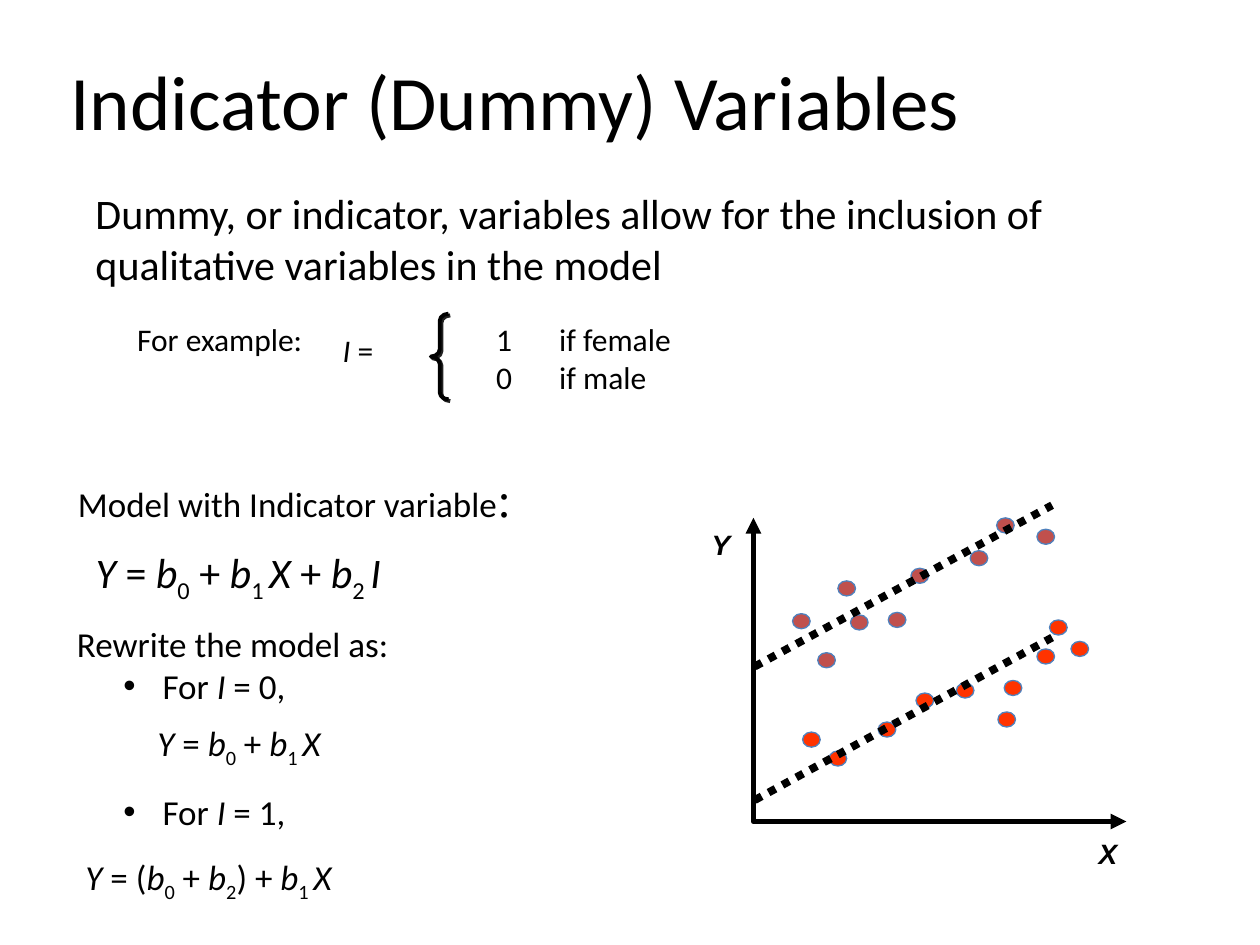
from lxml.etree import SubElement
from pptx import Presentation
from pptx.dml.color import RGBColor
from pptx.enum.dml import MSO_LINE
from pptx.enum.shapes import MSO_CONNECTOR, MSO_SHAPE
from pptx.enum.text import MSO_ANCHOR, MSO_AUTO_SIZE, PP_ALIGN
from pptx.oxml.ns import qn
from pptx.util import Inches, Pt

COLORS = {"ink": "000000", "female": "C0504D", "male": "FF3300",
          "outline": "4F81BD", "shadow": "222222"}
FEMALE_POINTS = [(6.29, 4.87), (6.75, 4.88), (6.65, 4.61), (6.49, 5.18), (7.05, 4.86),
                 (7.23, 4.51), (7.70, 4.37), (7.91, 4.11), (8.23, 4.20)]
MALE_POINTS = [(6.37, 5.81), (6.58, 5.96), (6.97, 5.73), (7.97, 5.40), (8.23, 5.15),
               (8.33, 4.92), (7.59, 5.42), (8.50, 5.09), (7.92, 5.65), (7.27, 5.50)]


class SlideBuilder:
    def __init__(self, slide, font_name="Calibri"):
        self.slide = slide
        self.font_name = font_name

    def color(self, name):
        return RGBColor.from_string(COLORS[name])

    def place(self, shape, left, top, width, height):
        shape.left, shape.top = Inches(left), Inches(top)
        shape.width, shape.height = Inches(width), Inches(height)

    def fill_paragraph(self, paragraph, markup, size, font_name=None):
        """Add runs from markup; *stars* enclose italics, _underscores_ subscripts."""
        for i, stretch in enumerate(markup.split("*")):
            for j, text in enumerate(stretch.split("_")):
                if not text:
                    continue
                run = paragraph.add_run()
                run.text = text
                if i % 2:
                    run.font.italic = True
                if j % 2:
                    run._r.get_or_add_rPr().set("baseline", "-25000")
        paragraph.font.size = Pt(size)
        paragraph.font.name = font_name or self.font_name
        paragraph.font.color.rgb = self.color("ink")

    def indent(self, paragraph, left, first=0.0, bullet=None):
        properties = paragraph._p.get_or_add_pPr()
        properties.set("marL", str(Inches(left)))
        properties.set("indent", str(Inches(first)))
        if bullet:
            SubElement(properties, qn("a:buFont"), typeface="Arial")
            SubElement(properties, qn("a:buChar"), char=bullet)
        else:
            SubElement(properties, qn("a:buNone"))

    def title(self, text, *box):
        shape = self.slide.shapes.title
        self.place(shape, *box)
        shape.text_frame.vertical_anchor = MSO_ANCHOR.MIDDLE
        paragraph = shape.text_frame.paragraphs[0]
        paragraph.alignment = PP_ALIGN.LEFT
        self.fill_paragraph(paragraph, text, 44)

    def body(self, heading, bullets, *box):
        shape = self.slide.placeholders[1]
        self.place(shape, *box)
        frame = shape.text_frame
        frame.auto_size = MSO_AUTO_SIZE.NONE
        paragraph = frame.paragraphs[0]
        paragraph.space_before = Pt(0)
        self.indent(paragraph, 0.13)
        self.fill_paragraph(paragraph, heading, 20)
        for text, space in bullets:
            paragraph = frame.add_paragraph()
            paragraph.level = 1
            paragraph.space_before = Pt(space)
            self.indent(paragraph, 0.81, -0.31, "•")
            self.fill_paragraph(paragraph, text, 20)

    def text(self, lines, size, *box, wrap=True, hanging=0, font_name=None):
        """Add a text box and return its last paragraph."""
        shape = self.slide.shapes.add_textbox(*map(Inches, box))
        frame = shape.text_frame
        frame.word_wrap = wrap
        for number, line in enumerate(lines):
            paragraph = frame.add_paragraph() if number else frame.paragraphs[0]
            if hanging:
                self.indent(paragraph, hanging, -hanging)
            self.fill_paragraph(paragraph, line, size, font_name)
        return frame.paragraphs[-1]

    def axis_label(self, text, *box):
        paragraph = self.text([f"*{text}*"], 16, *box, wrap=False, font_name="Arial")
        paragraph.font.bold = True

    def brace(self, *box):
        shape = self.slide.shapes.add_shape(MSO_SHAPE.LEFT_BRACE, *map(Inches, box))
        shape.adjustments[0] = 0.41
        shape.fill.background()
        shape.line.color.rgb = self.color("ink")
        shape.line.width = Pt(2.25)
        shape.shadow.inherit = False
        effects = shape._element.spPr.find(qn("a:effectLst"))
        shadow = SubElement(effects, qn("a:outerShdw"), dist=str(Pt(1.4)), dir="2700000")
        SubElement(shadow, qn("a:srgbClr"), val=COLORS["shadow"])

    def axes(self, left, top, right, bottom):
        builder = self.slide.shapes.build_freeform(Inches(left), Inches(top))
        corners = [(left, bottom), (right, bottom)]
        builder.add_line_segments([(Inches(x), Inches(y)) for x, y in corners], close=False)
        shape = builder.convert_to_shape()
        shape.shadow.inherit = False
        shape.fill.background()
        shape.line.color.rgb = self.color("ink")
        shape.line.width = Pt(3)
        line = shape._element.spPr.find(qn("a:ln"))
        for end in ("a:headEnd", "a:tailEnd"):
            SubElement(line, qn(end), type="triangle")

    def point(self, left, top, fill):
        shape = self.slide.shapes.add_shape(
            MSO_SHAPE.OVAL, Inches(left), Inches(top), Inches(0.14), Inches(0.12))
        shape.shadow.inherit = False
        shape.fill.solid()
        shape.fill.fore_color.rgb = self.color(fill)
        shape.line.color.rgb = self.color("outline")
        shape.line.width = Pt(0.75)

    def regression_line(self, *ends):
        line = self.slide.shapes.add_connector(MSO_CONNECTOR.STRAIGHT, *map(Inches, ends))
        line.line.color.rgb = self.color("ink")
        line.line.width = Pt(4.5)
        line.line.dash_style = MSO_LINE.ROUND_DOT
        SubElement(line._element.spPr, qn("a:effectLst"))


def main():
    presentation = Presentation()
    presentation.slide_width, presentation.slide_height = Inches(10), Inches(7.5)
    slide = presentation.slides.add_slide(presentation.slide_layouts[1])
    builder = SlideBuilder(slide)

    builder.title("Indicator (Dummy) Variables", 0.46, 0.17, 7.53, 1.25)
    builder.text(["Dummy, or indicator, variables allow for the inclusion of "
                  "qualitative variables in the model"], 24, 0.66, 1.44, 8.5, 0.91)

    builder.text(["For example:"], 18, 0.99, 2.49, 1.53, 0.4, wrap=False)
    builder.text(["*I* ="], 18, 2.62, 2.58, 0.45, 0.4, wrap=False)
    builder.text(["1\tif female", "0\tif male"], 18, 3.84, 2.49, 1.66, 0.71,
                 wrap=False, hanging=0.5)
    builder.brace(3.42, 2.49, 0.14, 0.68)

    model = builder.text(["Model with Indicator variable"], 20, 0.52, 3.67, 5.2, 0.57)
    colon = model.add_run()
    colon.text = ":"
    colon.font.size = Pt(28)
    colon.font.name = "Times New Roman"
    builder.text(["*Y* = *b*_0_ + *b*_1 _*X* + *b*_2 _*I*"], 24, 0.66, 4.29, 4.35, 0.5)

    # The second bullet leaves two lines free for the first equation.
    builder.body("Rewrite the model as:", [("For *I* = 0,", 0), ("For *I* = 1,", 48)],
                 0.38, 4.89, 4.93, 1.85)
    builder.text(["*Y* = *b*_0_ + *b*_1 _*X*"], 20, 1.15, 5.68, 4.35, 0.44)
    builder.text(["*Y* = (*b*_0_ + *b*_2_) + *b*_1 _*X*"], 20, 0.58, 6.74, 4.22, 0.44)

    builder.axes(5.98, 4.11, 8.94, 6.52)
    builder.axis_label("X", 8.62, 6.59, 0.35, 0.37)
    builder.axis_label("Y", 5.55, 4.14, 0.41, 0.37)
    for fill, points in (("female", FEMALE_POINTS), ("male", MALE_POINTS)):
        for left, top in points:
            builder.point(left, top, fill)
    for start, end in ((5.29, 4.01), (6.35, 5.06)):
        builder.regression_line(5.99, start, 8.35, end)

    presentation.save("out.pptx")


if __name__ == "__main__":
    main()
